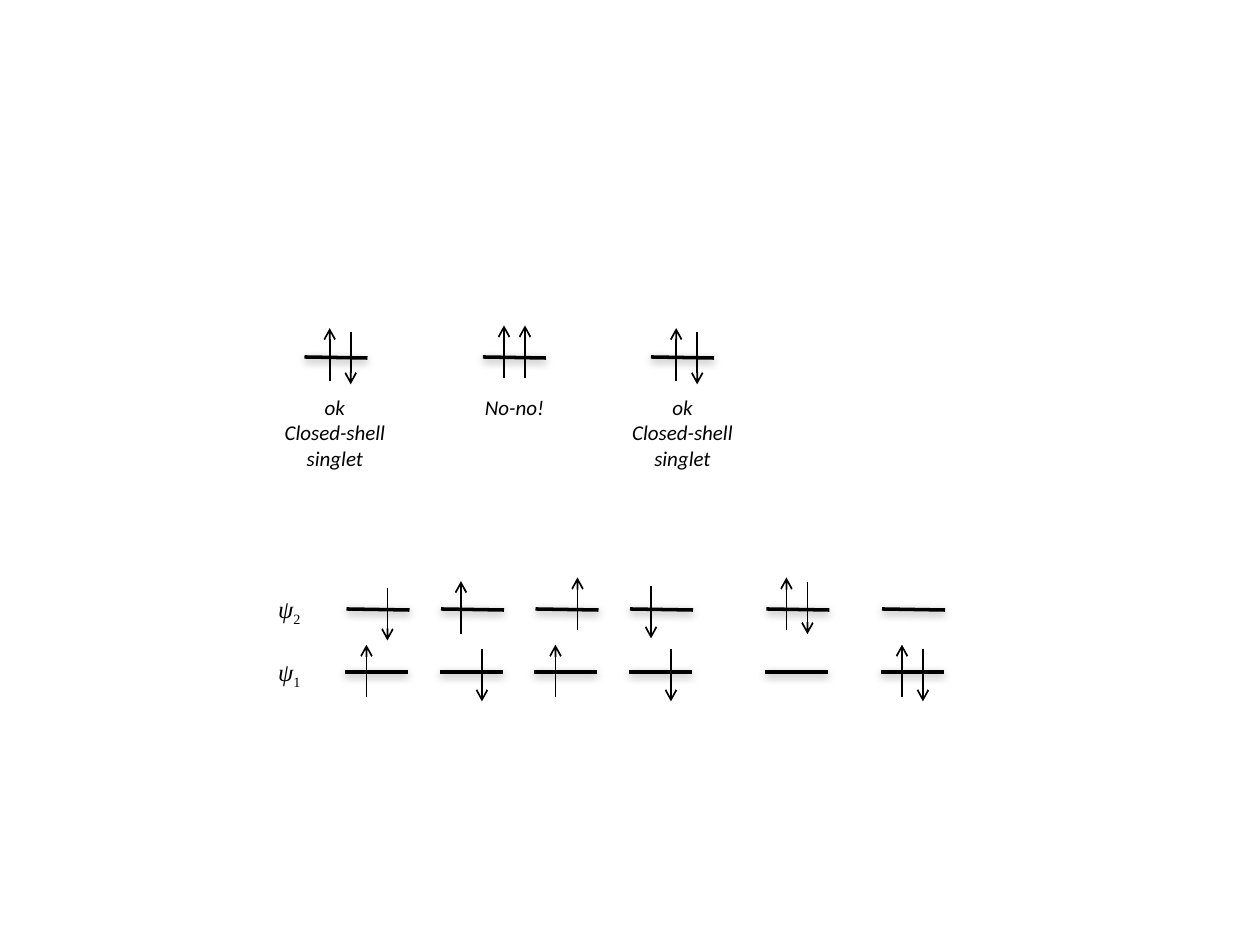
"""Build a slide of electron configurations in one and two orbitals."""
from dataclasses import dataclass

from lxml import etree
from pptx import Presentation
from pptx.dml.color import RGBColor
from pptx.enum.shapes import MSO_CONNECTOR
from pptx.enum.text import MSO_AUTO_SIZE, PP_ALIGN
from pptx.oxml.ns import qn
from pptx.util import Inches, Pt

STRAIGHT = MSO_CONNECTOR.STRAIGHT
GROW = MSO_AUTO_SIZE.SHAPE_TO_FIT_TEXT
LEFT, CENTER = PP_ALIGN.LEFT, PP_ALIGN.CENTER
WIDTH, HEIGHT = Inches(10), Inches(7.5)
CELL = WIDTH / 120
LEVEL_W, ARROW_H = 6, 5


@dataclass(frozen=True)
class Theme:
    ink: RGBColor = RGBColor(0, 0, 0)
    note_font: str = "Calibri"
    note_size: Pt = Pt(12)
    symbol_font: str = "Times New Roman"
    symbol_size: Pt = Pt(14)
    level_line: Pt = Pt(2)
    arrow_line: Pt = Pt(1)


@dataclass(frozen=True)
class Electron:
    dx: float
    dy: float
    up: bool


@dataclass(frozen=True)
class Level:
    col: float
    row: float
    electrons: tuple = ()
    tilt: float = 0.1


@dataclass(frozen=True)
class Label:
    col: float
    row: float
    cols: float
    rows: float
    lines: tuple
    align: PP_ALIGN = LEFT


THEME = Theme()


def up(dx: float, dy: float) -> Electron:
    """Return a spin-up electron."""
    return Electron(dx, dy, True)


def down(dx: float, dy: float) -> Electron:
    """Return a spin-down electron."""
    return Electron(dx, dy, False)


def cells(*counts: float) -> list[int]:
    """Convert grid cells to slide units."""
    return [round(n * CELL) for n in counts]


def add_line(slide, ends: tuple, width: Pt):
    """Draw a plain line and return it with its empty effect list."""
    s = slide.shapes.add_connector(STRAIGHT, *cells(*ends))
    s.line.color.rgb = THEME.ink
    s.line.width = width
    sp = s._element.spPr
    return s, etree.SubElement(sp, qn("a:effectLst"))


def add_electron(slide, level: Level, e: Electron) -> None:
    """Draw an electron as a spin arrow across its level."""
    x, mid = level.col + e.dx, level.row + e.dy
    half = ARROW_H / 2 if e.up else -ARROW_H / 2
    s, _ = add_line(slide, (x, mid + half, x, mid - half), THEME.arrow_line)
    etree.SubElement(s.line._get_or_add_ln(), qn("a:tailEnd"), type="arrow")


def add_level(slide, level: Level) -> None:
    """Draw a shadowed orbital level with its electrons."""
    ends = (level.col, level.row, level.col + LEVEL_W, level.row + level.tilt)
    _, effects = add_line(slide, ends, THEME.level_line)
    shadow = etree.SubElement(effects, qn("a:outerShdw"), blurRad=str(Pt(5)),
                              dist=str(Pt(1.6)), dir="5400000", rotWithShape="0")
    color = etree.SubElement(shadow, qn("a:srgbClr"), val=str(THEME.ink))
    etree.SubElement(color, qn("a:alpha"), val="38000")
    for e in level.electrons:
        add_electron(slide, level, e)


def add_box(slide, label: Label):
    """Add an empty unwrapped text box and return its text frame."""
    s = slide.shapes.add_textbox(*cells(label.col, label.row, label.cols, label.rows))
    tf = s.text_frame
    tf.word_wrap = False
    tf.auto_size = GROW
    return tf


def add_note(slide, label: Label) -> None:
    """Write an italic note, one paragraph a line."""
    tf = add_box(slide, label)
    tf.text = "\n".join(label.lines)
    for p in tf.paragraphs:
        p.alignment = label.align
        p.font.name, p.font.size = THEME.note_font, THEME.note_size
        p.font.italic = True
        p.font.color.rgb = THEME.ink


def add_symbol(slide, label: Label) -> None:
    """Write an orbital symbol with its subscript."""
    p = add_box(slide, label).paragraphs[0]
    p.font.name, p.font.size = THEME.symbol_font, THEME.symbol_size
    p.font.color.rgb = THEME.ink
    symbol, index = (p.add_run() for _ in range(2))
    symbol.text, index.text = label.lines
    symbol.font.italic = True
    index._r.get_or_add_rPr().set("baseline", "-25000")


PAIR = (up(2.4, -0.25), down(4.4, 0.1))
CLOSED = ("ok", "Closed-shell", "singlet")
SINGLE_LEVELS = (
    Level(29, 34, PAIR),
    Level(46, 34, (up(2, -0.5), up(4, -0.5))),
    Level(62, 34, PAIR),
)
NOTES = (
    Label(25.9, 37, 12, 8.4, CLOSED, CENTER),
    Label(45, 37, 8, 3.6, ("No-no!",)),
    Label(59, 37, 12, 8.4, CLOSED, CENTER),
)
LOW_UP, LOW_DOWN = up(2, -0.1), down(4, 0.3)
STATES = (
    (33, (down(3.9, 0.5),), (LOW_UP,)),
    (42, (up(1.9, -0.15),), (LOW_DOWN,)),
    (51, (up(4, -0.5),), (LOW_UP,)),
    (60, (down(2, 0.3),), (LOW_DOWN,)),
    (73, (up(1.9, -0.5), down(3.9, -0.1)), ()),
    (84, (), (LOW_UP, LOW_DOWN)),
)
SYMBOLS = (
    Label(25.3, 62, 4.7, 4, ("ψ", "1")),
    Label(25.3, 56, 4.7, 4, ("ψ", "2")),
)


def main() -> None:
    """Draw the slide and save it."""
    prs = Presentation()
    prs.slide_width, prs.slide_height = WIDTH, HEIGHT
    slide = prs.slides.add_slide(prs.slide_layouts[6])
    for level in SINGLE_LEVELS:
        add_level(slide, level)
    for note in NOTES:
        add_note(slide, note)
    for col, upper, lower in STATES:
        add_level(slide, Level(col, 58, upper))
        add_level(slide, Level(col - 0.1, 64, lower, tilt=0))
    for symbol in SYMBOLS:
        add_symbol(slide, symbol)
    prs.save("out.pptx")


if __name__ == "__main__":
    main()
